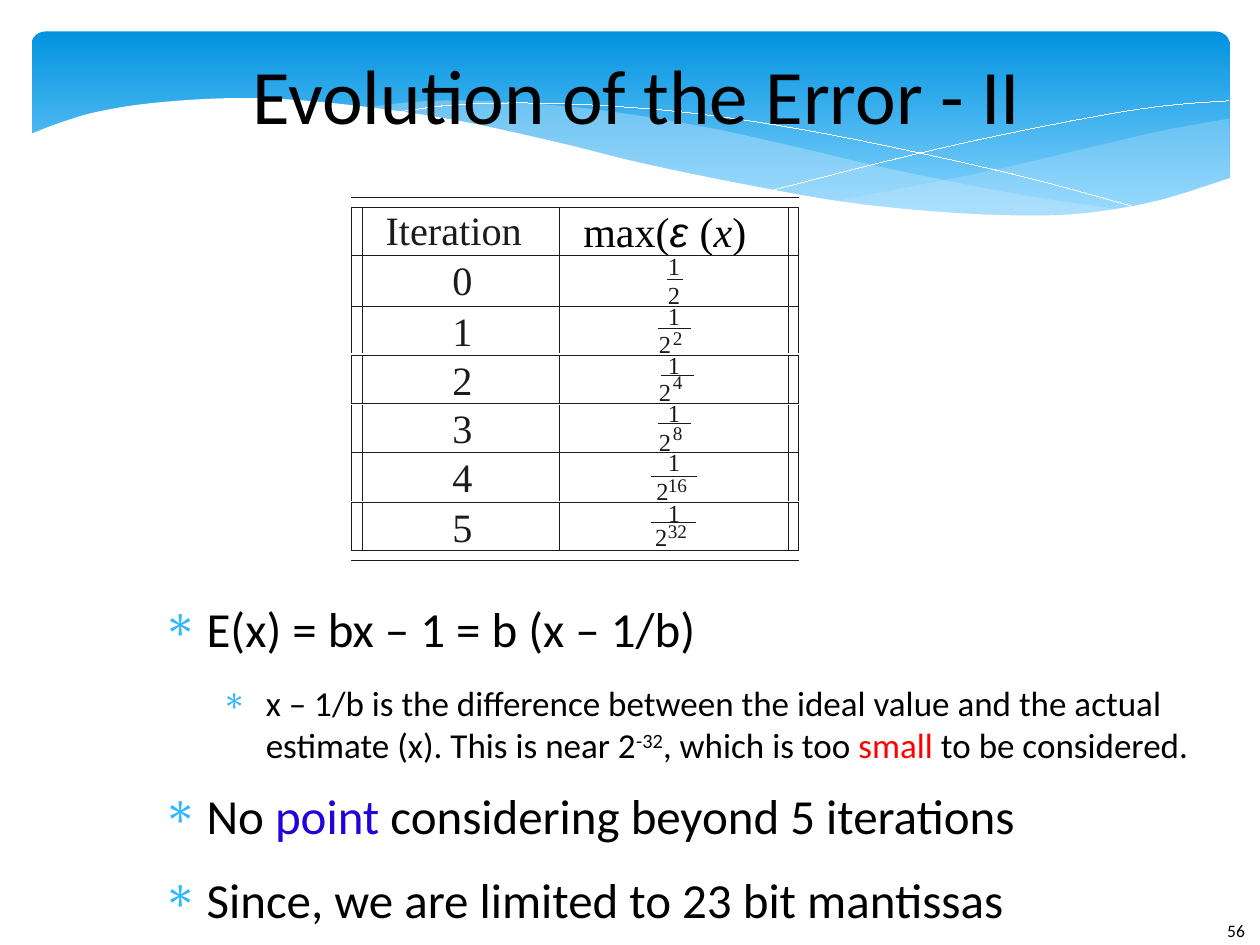
from lxml import etree
from pptx import Presentation
from pptx.dml.color import RGBColor
from pptx.enum.shapes import MSO_CONNECTOR, MSO_SHAPE
from pptx.enum.text import MSO_ANCHOR, MSO_AUTO_SIZE, PP_ALIGN
from pptx.oxml.ns import qn
from pptx.util import Emu, Inches, Pt

BLACK = RGBColor(0x00, 0x00, 0x00)
WHITE = RGBColor(0xFF, 0xFF, 0xFF)
INK = RGBColor(0x1A, 0x1B, 0x1C)
RED = RGBColor(0xFF, 0x00, 0x00)
BLUE = RGBColor(0x23, 0x00, 0xDC)
BULLET = RGBColor(0x31, 0xB6, 0xFD)
BANNER_TOP = RGBColor(0x02, 0x93, 0xE0)
BANNER_END = RGBColor(0x83, 0xD3, 0xFE)
WAVE = RGBColor(0xC6, 0xE7, 0xFC)
SANS, SERIF = "Calibri", "Times New Roman"
HAIRLINE = Emu(1)  # a width of 0 would fall back to the theme's line width

# Lengths are columns and rows of a 100 by 75 grid.
COLS, ROWS = 100, 75
LEFT, LEFT_IN, MIDDLE, RIGHT_IN, RIGHT = 27.9, 28.8, 44.4, 62.6, 63.4
BANDS = [(16.5, 20.3), (20.3, 24.3), (24.3, 28), (28.2, 32),
         (32.2, 35.9), (35.9, 39.7), (39.9, 43.7)]
RULES = [20.3, 24.3, 28.2, 32, 35.9, 39.9, 43.7]
TOP_RULES, LAST_RULE = (15.7, 16.5), 44.5
# exponent, bar start, bar end, bar drop, base column, base drop, exponent column and drop
FRACTIONS = [
    ("", 53, 54.2, 1.9, 53, 1.9, 0, 0),
    ("2", 52.3, 54.8, 1.8, 52.3, 1.8, 53.4, 1.6),
    ("4", 52.5, 55, 1.6, 52.3, 1.7, 53.4, 1.2),
    ("8", 52.3, 54.8, 1.6, 52.3, 1.9, 53.4, 1.4),
    ("16", 51.7, 55.3, 1.9, 52.1, 1.9, 53, 1.7),
    ("32", 51.7, 55.2, 1.6, 52, 1.5, 53, 1.3),
]
BODY = [
    (0, [("E(x) = bx – 1 = b (x – 1/b)", {})]),
    (1, [("x – 1/b is the difference between the ideal value and the actual "
          "estimate (x). This is near 2", {}), ("-32", {"raised": True}),
         (", which is too ", {}), ("small", {"color": RED}), (" to be considered.", {})]),
    (0, [("No ", {}), ("point", {"color": BLUE}), (" considering beyond 5 iterations", {})]),
    (0, [("Since, we are limited to 23 bit mantissas", {})]),
]
# Each wave is a chain of smooth pieces, given by the points they pass through.
WAVE_RIGHT = [
    [(97.6, 9.4), (92.1, 10.4), (86.1, 11.8), (77.9, 13.7), (66.1, 16)],
    [(66.1, 16), (73.2, 16.8), (81.4, 17.2), (88.1, 16.7), (93.5, 15.6), (97.6, 14.1)]]
WAVE_MIDDLE = [
    [(89.3, 16.7), (80.7, 15.4), (70.6, 13.4), (62.9, 11.6), (55.5, 10),
     (46.5, 8.6), (38, 8), (32.8, 8.1), (28.6, 8.6)],
    [(28.6, 8.6), (36.2, 9.7), (44.9, 11.6), (56.6, 14.3), (65, 15.8),
     (73.6, 16.9), (81.8, 17.3), (89.3, 16.7)]]
LINE_LONG = [[(30.9, 9), (36.3, 8.3), (43.3, 8.2), (51, 8.6), (58.2, 9.4),
              (66.5, 10.8), (76, 12.8), (83.1, 14.5), (90.7, 16.6)]]
LINE_RIGHT = [[(61.3, 15.1), (69.5, 13), (77.6, 11.1), (86.6, 9.3), (92.4, 8.4), (97.5, 8)]]
WAVE_FRONT = [
    [(97.7, 14.1), (92, 15.9), (86.3, 16.9), (80.9, 17.1), (74.4, 16.8), (66.8, 16),
     (57.9, 14.4), (50.3, 12.8), (44.7, 11.4), (36.5, 9.6), (29.2, 8.5),
     (23, 7.9), (17.7, 7.8), (11.9, 8.2), (7.6, 8.9), (4.6, 9.8), (2.3, 10.7)],
    [(2.3, 10.7), (2.3, 22.4)], [(2.3, 22.4), (97.7, 22.4)]]


def smooth(knots, steps=5):
    """Catmull-Rom points through the knots."""
    ends = [knots[0], *knots, knots[-1]]
    points = [knots[0]]
    for p0, p1, p2, p3 in zip(ends, ends[1:], ends[2:], ends[3:]):
        for t in (n / steps for n in range(1, steps + 1)):
            points.append(tuple(
                (2 * b + (c - a) * t + (2 * a - 5 * b + 4 * c - d) * t ** 2
                 + (3 * b - a - 3 * c + d) * t ** 3) / 2
                for a, b, c, d in zip(p0, p1, p2, p3)))
    return points


class Deck:
    """Holds the presentation, the grid and the current slide."""

    def __init__(self):
        self.prs = Presentation()
        self.prs.slide_width, self.prs.slide_height = Inches(10), Inches(7.5)
        self.s = self.prs.slides.add_slide(self.prs.slide_layouts[5])

    def x(self, cols):
        return Emu(round(self.prs.slide_width * cols / COLS))

    def y(self, rows):
        return Emu(round(self.prs.slide_height * rows / ROWS))

    def box(self, left, top, width, height):
        return self.x(left), self.y(top), self.x(width), self.y(height)

    def run(self, p, text, size, font=SANS, color=BLACK, italic=False, raised=False):
        r = p.add_run()
        r.text = text
        r.font.size, r.font.name, r.font.italic = Pt(size), font, italic
        r.font.color.rgb = color
        if raised:
            r.font._element.set("baseline", "30000")

    def frame(self, sp, wrap=True):
        tf = sp.text_frame
        tf.word_wrap = wrap
        tf.auto_size = MSO_AUTO_SIZE.NONE if wrap else MSO_AUTO_SIZE.SHAPE_TO_FIT_TEXT
        tf.margin_left = tf.margin_right = tf.margin_top = tf.margin_bottom = 0
        return tf

    def title(self, text, *place):
        sp = self.s.shapes.title
        sp.left, sp.top, sp.width, sp.height = self.box(*place)
        tf = self.frame(sp)
        tf.vertical_anchor = MSO_ANCHOR.MIDDLE
        p = tf.paragraphs[0]
        p.alignment = PP_ALIGN.CENTER
        self.run(p, text, 44)
        sp.element.getparent().append(sp.element)

    def label(self, runs, *place):
        tf = self.frame(self.s.shapes.add_textbox(*self.box(*place)), wrap=False)
        for text, style in runs:
            self.run(tf.paragraphs[0], text, **style)

    def serif(self, text, size, *place):
        self.label([(text, dict(size=size, font=SERIF, color=INK))], *place)

    def bullets(self, items, *place):
        tf = self.frame(self.s.shapes.add_textbox(*self.box(*place)))
        for n, (level, runs) in enumerate(items):
            p = tf.add_paragraph() if n else tf.paragraphs[0]
            p.level, p.space_after = level, Pt((14.1, 11.3)[level])
            pPr = p._p.get_or_add_pPr()
            pPr.set("marL", str(Inches(0.47 * (level + 1))))
            pPr.set("indent", str(Inches(-0.35)))
            color = etree.SubElement(pPr, qn("a:buClr"))
            etree.SubElement(color, qn("a:srgbClr"), val=str(BULLET))
            etree.SubElement(pPr, qn("a:buChar"), char="∗")
            for text, style in runs:
                self.run(p, text, (28, 20)[level], **style)

    def banner(self, *place):
        sp = self.s.shapes.add_shape(MSO_SHAPE.ROUNDED_RECTANGLE, *self.box(*place))
        sp.adjustments[0] = 0.07
        sp.shadow.inherit = False
        sp.line.fill.background()
        sp.fill.gradient()
        sp.fill.gradient_angle = 270
        for stop, color, at in zip(sp.fill.gradient_stops, (BANNER_TOP, BANNER_END), (0, 0.9)):
            stop.color.rgb, stop.position = color, at

    def outline(self, contours, fill=None, opacity=100, line=None):
        """Draw contours as one shape, closed when it has a fill."""
        spots = [[(self.x(x), self.y(y)) for x, y in contour] for contour in contours]
        builder = self.s.shapes.build_freeform(*spots[0][0])
        for n, contour in enumerate(spots):
            if n:
                builder.move_to(*contour[0])
            builder.add_line_segments(contour[1:], close=fill is not None)
        sp = builder.convert_to_shape()
        sp.shadow.inherit = False
        if fill is None:
            sp.fill.background()
            sp.line.color.rgb, sp.line.width = line, HAIRLINE
        else:
            sp.fill.solid()
            sp.fill.fore_color.rgb = fill
            sp.line.fill.background()
            if opacity < 100:
                color = sp.fill._xPr.find(".//" + qn("a:srgbClr"))
                etree.SubElement(color, qn("a:alpha"), val=str(opacity * 1000))

    def wave(self, pieces, **style):
        self.outline([[pt for knots in pieces for pt in smooth(knots)]], **style)

    def line(self, x1, y1, x2, y2):
        c = self.s.shapes.add_connector(
            MSO_CONNECTOR.STRAIGHT, self.x(x1), self.y(y1), self.x(x2), self.y(y2))
        c.line.color.rgb, c.line.width = INK, HAIRLINE
        etree.SubElement(c._element.spPr, qn("a:effectLst"))

    def fraction(self, top, exponent, start, end, bar, base_x, base, exp_x, exp):
        self.serif("1", 14, 53, top - 0.4, 1, 2.4)
        self.line(start, top + bar, end, top + bar)
        self.serif("2", 14, base_x, top + base, 1, 2.4)
        if exponent:
            self.serif(exponent, 11, exp_x, top + exp, len(exponent), 1.9)

    def error_table(self):
        def across(y):
            return [(LEFT, y), (RIGHT, y)]

        def sides(band, *columns):
            return [[(x, band[1]), (x, band[0])] for x in columns]

        self.outline([across(y) for y in TOP_RULES] + sides(BANDS[0], LEFT, LEFT_IN), line=INK)
        for n, (band, rule) in enumerate(zip(BANDS, RULES)):
            if n:
                self.serif(str(n - 1), 23, 35.9, RULES[n - 1], 2.7, 4.4)
                self.fraction(RULES[n - 1], *FRACTIONS[n - 1])
            else:
                self.serif("Iteration", 23, 30.6, 16.3, 11.9, 4.4)
                plain = dict(size=24, font=SERIF)
                self.label([("max(", plain), ("ε ", dict(size=24, font="Arial", italic=True)),
                            ("(", plain), ("x", dict(plain, italic=True)), (")", plain)],
                           46.3, 16.3, 13, 4)
            self.line(MIDDLE, band[1], MIDDLE, band[0])
            below = sides(BANDS[n + 1], LEFT, LEFT_IN) if band != BANDS[-1] else [across(LAST_RULE)]
            self.outline(sides(band, RIGHT_IN, RIGHT) + [across(rule)] + below, line=INK)


def main():
    deck = Deck()
    deck.banner(2.5, 2.5, 95.1, 15.6)
    deck.wave(WAVE_RIGHT, fill=WAVE, opacity=29)
    deck.wave(WAVE_MIDDLE, fill=WAVE, opacity=40)
    deck.wave(LINE_LONG, line=WHITE)
    deck.wave(LINE_RIGHT, line=WHITE)
    deck.wave(WAVE_FRONT, fill=WHITE)
    deck.label([("56", dict(size=10))], 97.4, 73, 1.6, 1.7)
    deck.title("Evolution of the Error - II", 10, 2.3, 81.1, 10.2)
    deck.bullets(BODY, 11.7, 47.5, 86.7, 20)
    deck.error_table()
    deck.prs.save("out.pptx")


if __name__ == "__main__":
    main()
